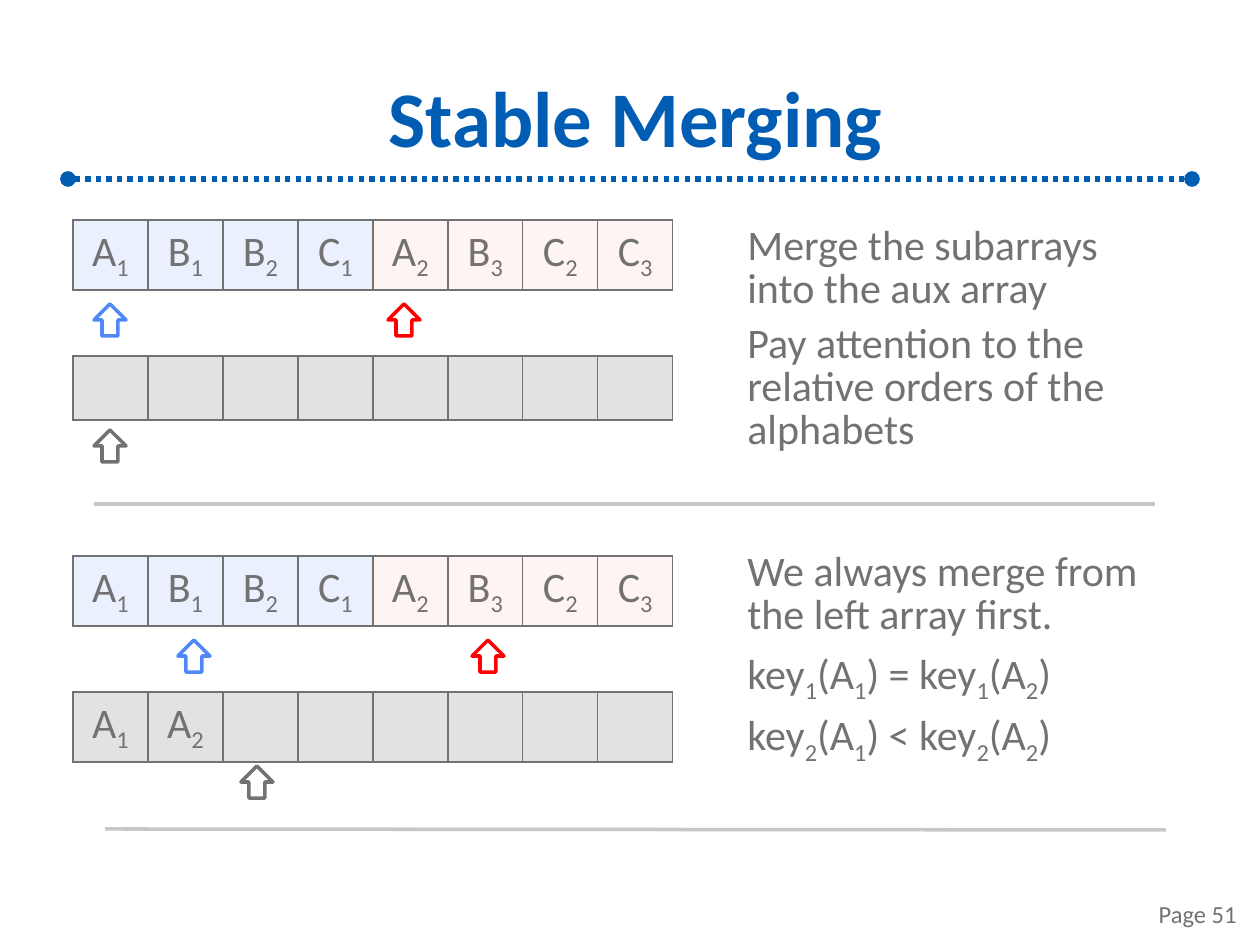
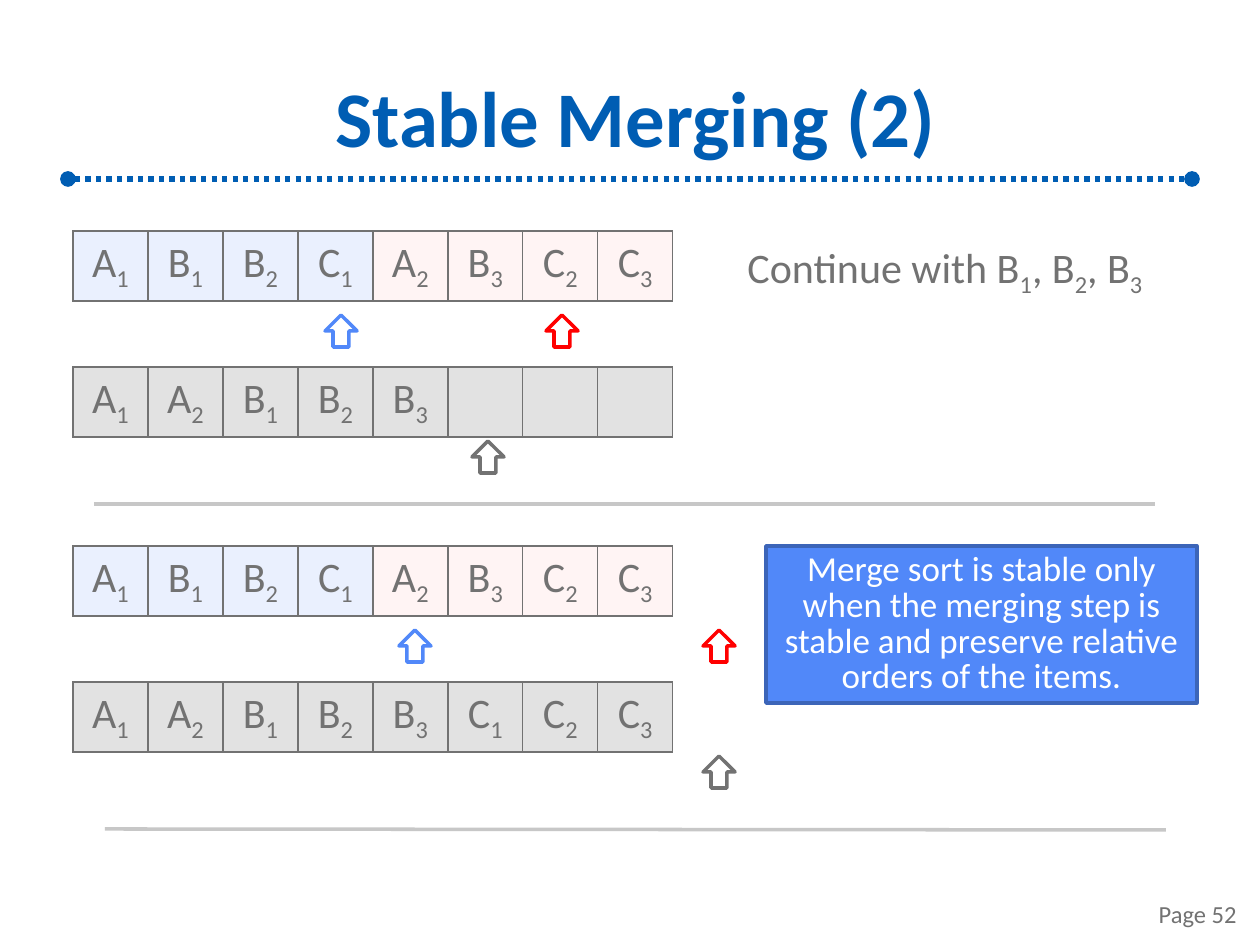
from dataclasses import dataclass

import lxml.etree
import pptx
import pptx.dml.color
import pptx.enum.dml
import pptx.enum.shapes
import pptx.enum.text
import pptx.oxml.ns
import pptx.util

SHAPE = pptx.enum.shapes.MSO_SHAPE
ALIGN = pptx.enum.text.PP_ALIGN
ANCHOR = pptx.enum.text.MSO_ANCHOR
qn = pptx.oxml.ns.qn


# Theme: colours and type sizes
@dataclass(frozen=True)
class Theme:
    font: str = "Calibri"
    title: str = "005DB3"
    text: str = "727272"
    left: str = "5188F9"
    right: str = "FF0000"
    left_cell: str = "97B8FB"
    right_cell: str = "FFCCCC"
    callout_line: str = "3C65B8"
    rule: str = "C7C7C7"
    white: str = "FFFFFF"
    title_size: int = 45
    body_size: int = 24
    callout_size: int = 20
    page_size: int = 14


THEME = Theme()


# What the slides are made of; lengths are pixels
@dataclass(frozen=True)
class Box:
    x: int
    y: int
    w: int
    h: int


@dataclass(frozen=True)
class Stage:
    """One merging step: source array, aux array and three pointers."""
    top: int
    merged: str
    left_x: int
    right_x: int
    aux_x: int


@dataclass(frozen=True)
class Note:
    box: Box
    lines: tuple[str, ...]
    is_callout: bool = False


@dataclass(frozen=True)
class Page:
    number: int
    title: str
    stages: tuple[Stage, ...]
    notes: tuple[Note, ...]


SOURCE = "A_1 B_1 B_2 C_1 A_2 B_3 C_2 C_3"
CELLS = 8
HALF = CELLS // 2
CELL_W = 75
ROW_H, EMPTY_ROW_H = 70, 64
ARRAY_X = 73
POINTER_DY, AUX_DY, AUX_POINTER_DY = 84, 136, 210
POINTER_SIZE = 32
NOTE_X, NOTE_W = 735, 431

PAGES = (
    Page(51, "Stable Merging",
         (Stage(220, "", 94, 388, 94),
          Stage(556, "A_1 A_2", 178, 472, 241)),
         (Note(Box(NOTE_X, 220, NOTE_W, 244),
               ("Merge the subarrays into the aux array",
                "Pay attention to the relative orders of the alphabets")),
          Note(Box(NOTE_X, 546, NOTE_W, 217),
               ("We always merge from the left array first.",
                "key_1(A_1) = key_1(A_2)",
                "key_2(A_1) < key_2(A_2)")))),
    Page(52, "Stable Merging (2)",
         (Stage(231, "A_1 A_2 B_1 B_2 B_3", 325, 546, 472),
          Stage(546, "A_1 A_2 B_1 B_2 B_3 C_1 C_2 C_3", 399, 703, 703)),
         (Note(Box(NOTE_X, 238, NOTE_W, 57),
               ("Continue with B_1, B_2, B_3",)),
          Note(Box(766, 546, NOTE_W, 157),
               ("Merge sort is stable only when the merging step is stable "
                "and preserve relative orders of the items.",), True))),
)


# Helpers
def px(n: float) -> int:
    return round(n * 914400 / 126)


def place(box: Box) -> tuple[int, int, int, int]:
    return px(box.x), px(box.y), px(box.w), px(box.h)


def rgb(color: str) -> pptx.dml.color.RGBColor:
    return pptx.dml.color.RGBColor.from_string(color)


def write(p, text: str, size: int, color: str, align=ALIGN.LEFT, bold: bool = False) -> None:
    """Fill a paragraph; the digit after an underscore is a subscript."""
    p.alignment = align
    p.font.name, p.font.size, p.font.bold = THEME.font, pptx.util.Pt(size), bold
    p.font.color.rgb = rgb(color)
    first, *rest = text.split("_")
    p.add_run().text = first
    for part in rest:
        r = p.add_run()
        r.text = part[0]
        r.font._element.set("baseline", "-25000")
        if part[1:]:
            p.add_run().text = part[1:]


def space_lines(p) -> None:
    """Tight lines, with 30% of a line before the paragraph."""
    p.line_spacing = 0.85
    p.space_before = pptx.util.Pt(0)
    before = p._p.pPr.find(qn("a:spcBef"))
    before.remove(before[0])
    lxml.etree.SubElement(before, qn("a:spcPct"), val="30000")


def add_line(slide, x1: int, y1: int, x2: int, y2: int, color: str, width: float):
    line = slide.shapes.add_connector(
        pptx.enum.shapes.MSO_CONNECTOR.STRAIGHT, px(x1), px(y1), px(x2), px(y2))
    line.line.color.rgb = rgb(color)
    line.line.width = pptx.util.Pt(width)
    lxml.etree.SubElement(line.element.spPr, qn("a:effectLst"))
    return line


def add_shape(slide, kind, box: Box, fill: str, outline: str):
    sp = slide.shapes.add_shape(kind, *place(box))
    sp.shadow.inherit = False
    sp.fill.solid()
    sp.fill.fore_color.rgb = rgb(fill)
    sp.line.color.rgb = rgb(outline)
    sp.line.width = pptx.util.Pt(2)
    return sp


# Arrays and pointers
def style_cell(cell, fill: str) -> None:
    """Thin border on each side and a fill of 20% opacity."""
    tc_pr = cell._tc.get_or_add_tcPr()
    for side in ("a:lnL", "a:lnR", "a:lnT", "a:lnB"):
        ln = lxml.etree.SubElement(tc_pr, qn(side), w=str(pptx.util.Pt(1)))
        solid = lxml.etree.SubElement(ln, qn("a:solidFill"))
        lxml.etree.SubElement(solid, qn("a:srgbClr"), val=THEME.text)
    cell.fill.solid()
    cell.fill.fore_color.rgb = rgb(fill)
    color = tc_pr.find(qn("a:solidFill")).find(qn("a:srgbClr"))
    lxml.etree.SubElement(color, qn("a:alpha"), val="20000")


def add_array(slide, top: int, labels: list[str], fills: list[str]) -> None:
    height = ROW_H if labels else EMPTY_ROW_H
    box = Box(ARRAY_X, top, CELLS * CELL_W, height)
    table = slide.shapes.add_table(1, CELLS, *place(box)).table
    table.first_row = table.horz_banding = False
    for i, fill in enumerate(fills):
        cell = table.cell(0, i)
        style_cell(cell, fill)
        if i < len(labels):
            write(cell.text_frame.paragraphs[0], labels[i],
                  THEME.body_size, THEME.text, ALIGN.CENTER)


def add_stage(slide, stage: Stage) -> None:
    add_array(slide, stage.top, SOURCE.split(),
              [THEME.left_cell] * HALF + [THEME.right_cell] * HALF)
    add_array(slide, stage.top + AUX_DY, stage.merged.split(), [THEME.text] * CELLS)
    for x, dy, color in ((stage.left_x, POINTER_DY, THEME.left),
                         (stage.right_x, POINTER_DY, THEME.right),
                         (stage.aux_x, AUX_POINTER_DY, THEME.text)):
        box = Box(x, stage.top + dy, POINTER_SIZE, POINTER_SIZE)
        add_shape(slide, SHAPE.UP_ARROW, box, THEME.white, color)


# Notes beside the arrays
def add_note(slide, note: Note) -> None:
    if note.is_callout:
        sp = add_shape(slide, SHAPE.RECTANGLE, note.box, THEME.left, THEME.callout_line)
        style = (THEME.callout_size, THEME.white, ALIGN.CENTER)
    else:
        sp = slide.shapes.add_textbox(*place(note.box))
        style = (THEME.body_size, THEME.text, ALIGN.LEFT)
    tf = sp.text_frame
    tf.word_wrap = True
    tf.auto_size = pptx.enum.text.MSO_AUTO_SIZE.SHAPE_TO_FIT_TEXT
    for i, text in enumerate(note.lines):
        p = tf.add_paragraph() if i else tf.paragraphs[0]
        write(p, text, *style)
        space_lines(p)


# Title, page number and rules
def add_title_rule(slide) -> None:
    """Dotted rule with round ends, moved to the layout that slides share."""
    line = add_line(slide, 68, 179, 1192, 179, THEME.title, 3)
    line.line.dash_style = pptx.enum.dml.MSO_LINE.ROUND_DOT
    ln = line.element.spPr.find(qn("a:ln"))
    for end in ("a:headEnd", "a:tailEnd"):
        lxml.etree.SubElement(ln, qn(end), type="oval")
    line.element.nvCxnSpPr.cNvPr.set("id", "20")
    slide.slide_layout.shapes.element.append(line.element)


def add_frame(slide, page: Page) -> None:
    title = slide.shapes.title
    title.left, title.top, title.width, title.height = place(Box(84, 53, 1103, 127))
    tf = title.text_frame
    tf.vertical_anchor = ANCHOR.MIDDLE
    tf.margin_left = tf.margin_right = tf.margin_top = tf.margin_bottom = px(5)
    write(tf.paragraphs[0], page.title, THEME.title_size, THEME.title, ALIGN.CENTER, True)

    tf = slide.shapes.add_textbox(*place(Box(955, 869, 294, 66))).text_frame
    tf.word_wrap = True
    tf.vertical_anchor = ANCHOR.BOTTOM
    write(tf.paragraphs[0], f"Page {page.number}", THEME.page_size, THEME.text, ALIGN.RIGHT)

    add_line(slide, 94, 504, 1155, 504, THEME.rule, 2)
    add_line(slide, 105, 829, 1166, 830, THEME.rule, 2)


# Build the slides
prs = pptx.Presentation()
prs.slide_width, prs.slide_height = px(1260), px(945)
layout = prs.slide_layouts.get_by_name("Title Only")
for index, page in enumerate(PAGES):
    slide = prs.slides.add_slide(layout)
    if index == 0:
        add_title_rule(slide)
    add_frame(slide, page)
    for stage in page.stages:
        add_stage(slide, stage)
    for note in page.notes:
        add_note(slide, note)
prs.save("out.pptx")
